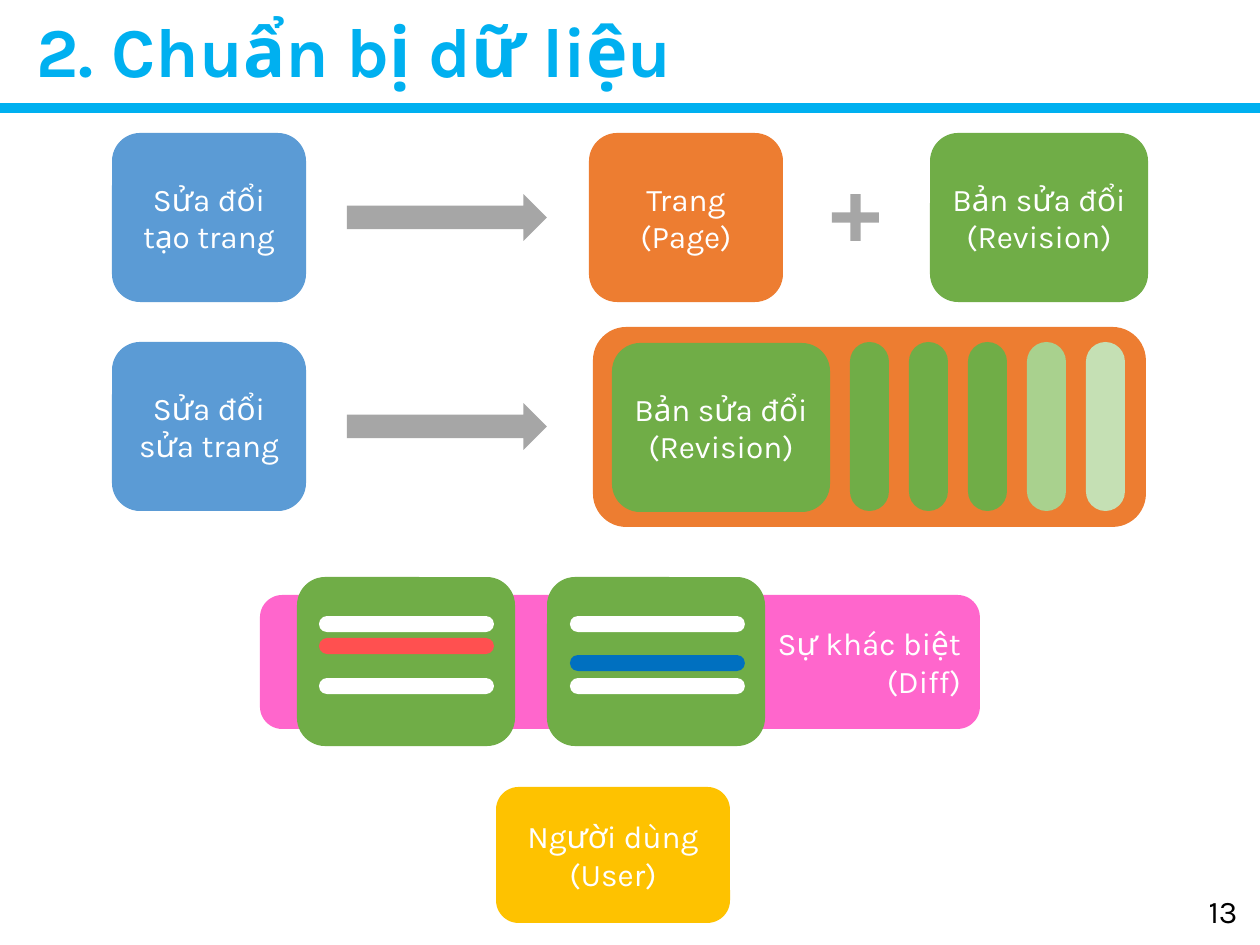
from dataclasses import dataclass

from lxml import etree
from pptx import Presentation
from pptx.dml.color import RGBColor
from pptx.enum.shapes import MSO_CONNECTOR, MSO_SHAPE
from pptx.enum.text import MSO_ANCHOR, PP_ALIGN
from pptx.oxml.ns import qn
from pptx.util import Emu, Pt

ROUND = MSO_SHAPE.ROUNDED_RECTANGLE
ARROW = MSO_SHAPE.RIGHT_ARROW
PLUS = MSO_SHAPE.CROSS
LEFT, CENTER, RIGHT = PP_ALIGN.LEFT, PP_ALIGN.CENTER, PP_ALIGN.RIGHT
MIDDLE, TOP = MSO_ANCHOR.MIDDLE, MSO_ANCHOR.TOP


@dataclass(frozen=True)
class Theme:
    font: str = "Karla"
    title_size: int = 40
    body_size: int = 18
    rule_width: int = 6
    accent: str = "00B0F0"
    black: str = "000000"
    white: str = "FFFFFF"
    edit: str = "5B9BD5"
    page: str = "ED7D31"
    revision: str = "70AD47"
    older: str = "A9D18E"
    oldest: str = "C5E0B4"
    sign: str = "A6A6A6"
    diff: str = "FF66CC"
    removed: str = "FF5050"
    added: str = "0070C0"
    user: str = "FEC200"


THEME = Theme()
PX = 914400 / 126
SLIDE_W, SLIDE_H = 1260, 945
RULE_Y = 108
CARD_H = 169
EDIT_W, REVISION_W = 194, 218

TITLE = "2. Chuẩn bị dữ liệu"
PAGE_NUMBER = "13"
REVISION = ["Bản sửa đổi", "(Revision)"]
PAGE = ["Trang", "(Page)"]
DIFF = ["Sự khác biệt", "(Diff)"]
USER = ["Người dùng", "(User)"]
EDITS = [(133, ["Sửa đổi tạo trang"]), (342, ["Sửa đổi sửa trang"])]

HISTORY = [THEME.revision] * 3 + [THEME.older, THEME.oldest]
HISTORY_X, HISTORY_STEP, HISTORY_W = 850, 59, 39

DIFF_CARDS = [
    (297, 319, [(616, THEME.white), (638, THEME.removed), (678, THEME.white)]),
    (547, 570, [(616, THEME.white), (655, THEME.added), (678, THEME.white)]),
]
LINE_W, LINE_H = 175, 16


def px(value):
    return Emu(round(value * PX))


def rgb(code):
    return RGBColor.from_string(code)


def write(shape, lines, size, color, align, anchor=MIDDLE, bold=False, spacing=None):
    frame = shape.text_frame
    frame.word_wrap = True
    frame.vertical_anchor = anchor
    for index, line in enumerate(lines):
        para = frame.add_paragraph() if index else frame.paragraphs[0]
        para.alignment = align
        if spacing:
            para.line_spacing = spacing
        span = para.add_run()
        span.text = line
        span.font.name = THEME.font
        span.font.size = Pt(size)
        span.font.bold = bold
        span.font.color.rgb = rgb(color)


def add_text(page, place, text, size, color, align, **style):
    box = page.shapes.add_textbox(*map(px, place))
    write(box, [text], size, color, align, **style)


def add_block(page, place, fill, lines=(), align=CENTER, kind=ROUND, adjust=None):
    block = page.shapes.add_shape(kind, *map(px, place))
    block.shadow.inherit = False
    block.fill.solid()
    block.fill.fore_color.rgb = rgb(fill)
    block.line.fill.background()
    if adjust is not None:
        block.adjustments[0] = adjust
    write(block, lines, THEME.body_size, THEME.white, align)


def add_header(page):
    rule = page.shapes.add_connector(
        MSO_CONNECTOR.STRAIGHT, px(0), px(RULE_Y), px(SLIDE_W), px(RULE_Y))
    rule.line.color.rgb = rgb(THEME.accent)
    rule.line.width = Pt(THEME.rule_width)
    etree.SubElement(rule._element.spPr, qn("a:effectLst"))
    add_text(page, (1168, 886, 82, 50), PAGE_NUMBER, THEME.body_size,
             THEME.black, RIGHT, anchor=TOP)
    add_text(page, (24, 8, 1211, 94), TITLE, THEME.title_size,
             THEME.accent, LEFT, bold=True, spacing=0.9)


def add_edits(page):
    for top, lines in EDITS:
        add_block(page, (112, top, EDIT_W, CARD_H), THEME.edit, lines)
        add_block(page, (347, top + 61, 200, 47), THEME.sign, kind=ARROW)


def add_results(page):
    add_block(page, (589, 133, EDIT_W, CARD_H), THEME.page, PAGE)
    add_block(page, (930, 133, REVISION_W, CARD_H), THEME.revision, REVISION)
    add_block(page, (832, 194, 47, 47), THEME.sign, kind=PLUS, adjust=0.39)
    add_block(page, (593, 327, 553, 200), THEME.page)
    add_block(page, (612, 343, REVISION_W, CARD_H), THEME.revision, REVISION)
    for index, color in enumerate(HISTORY):
        left = HISTORY_X + index * HISTORY_STEP
        add_block(page, (left, 342, HISTORY_W, CARD_H), color, adjust=0.5)


def add_diff(page):
    add_block(page, (260, 595, 720, 134), THEME.diff, DIFF, RIGHT)
    for card_left, line_left, lines in DIFF_CARDS:
        add_block(page, (card_left, 577, REVISION_W, CARD_H), THEME.revision)
        for top, color in lines:
            add_block(page, (line_left, top, LINE_W, LINE_H), color, adjust=0.5)


def main():
    deck = Presentation()
    deck.slide_width, deck.slide_height = px(SLIDE_W), px(SLIDE_H)
    page = deck.slides.add_slide(deck.slide_layouts[6])
    add_header(page)
    add_edits(page)
    add_results(page)
    add_diff(page)
    add_block(page, (496, 787, 234, 136), THEME.user, USER)
    deck.save("out.pptx")


if __name__ == "__main__":
    main()
